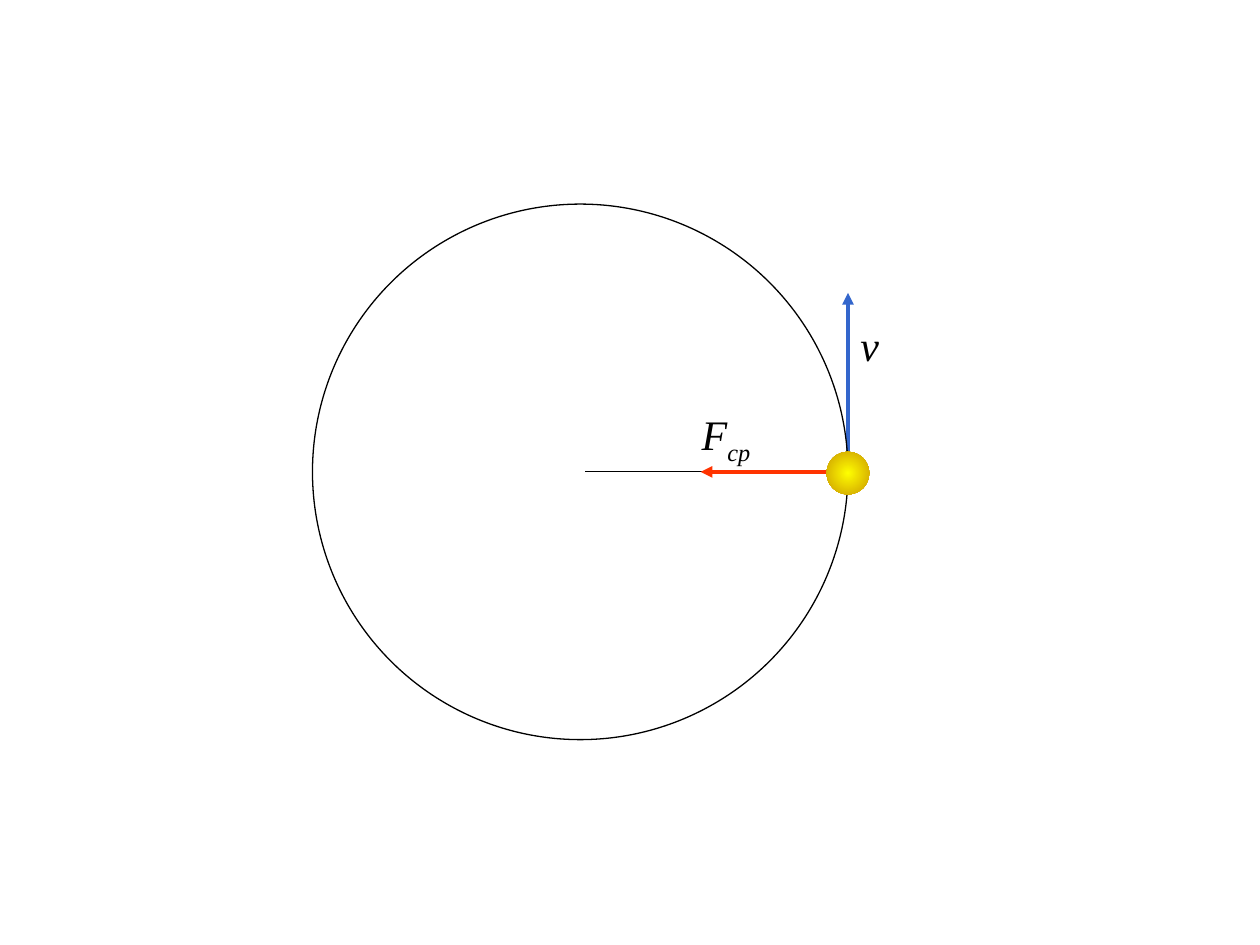
from lxml.etree import SubElement
from pptx import Presentation
from pptx.dml.color import RGBColor
from pptx.enum.shapes import MSO_CONNECTOR, MSO_SHAPE
from pptx.enum.text import MSO_AUTO_SIZE
from pptx.oxml.ns import qn
from pptx.util import Inches, Pt

COLORS = {
    "ink": "000000",
    "force": "FF3300",
    "velocity": "3366CC",
    "ball_center": "FFFF00",
    "ball_edge": "CC9900",
}
FONT = "Times New Roman"


def rgb(name):
    """Return the named colour."""
    return RGBColor.from_string(COLORS[name])


def add_circle(slide, cx, cy, diameter):
    """Add an unfilled circle around a centre point."""
    sp = slide.shapes.add_shape(
        MSO_SHAPE.OVAL, Inches(cx - diameter / 2), Inches(cy - diameter / 2),
        Inches(diameter), Inches(diameter))
    sp.shadow.inherit = False
    sp.fill.background()
    return sp


def add_line(slide, start, end, color, width, arrow=False):
    """Add a straight line, with an arrowhead at its end if asked."""
    line = slide.shapes.add_connector(
        MSO_CONNECTOR.STRAIGHT, *(Inches(v) for v in (*start, *end)))
    line.line.color.rgb = rgb(color)
    line.line.width = Pt(width)
    if arrow:
        SubElement(line.line._get_or_add_ln(), qn("a:tailEnd"), type="triangle")
    SubElement(line._element.spPr, qn("a:effectLst"))


def add_symbol(slide, left, top, width, symbol, subscript=""):
    """Add an italic symbol with an optional subscript."""
    box = slide.shapes.add_textbox(
        Inches(left), Inches(top), Inches(width), Inches(0.5))
    tf = box.text_frame
    tf.word_wrap = False
    tf.auto_size = MSO_AUTO_SIZE.SHAPE_TO_FIT_TEXT
    p = tf.paragraphs[0]
    p.font.name = FONT
    p.font.size = Pt(24)
    p.font.italic = True
    p.font.color.rgb = rgb("ink")
    p.add_run().text = symbol
    if subscript:
        r = p.add_run()
        r.text = subscript
        r._r.get_or_add_rPr().set("baseline", "-25000")


def add_ball(slide, cx, cy, diameter):
    """Add a ball shaded from its centre to its edge."""
    ball = add_circle(slide, cx, cy, diameter)
    ball.line.fill.background()
    ball.fill.gradient()
    for stop, name in zip(ball.fill.gradient_stops, ("ball_center", "ball_edge")):
        stop.color.rgb = rgb(name)
    grad = ball._element.spPr.find(qn("a:gradFill"))
    grad.remove(grad.find(qn("a:lin")))
    shade = SubElement(grad, qn("a:path"), path="circle")
    SubElement(shade, qn("a:fillToRect"), dict.fromkeys("ltrb", "50000"))


def add_circular_motion(slide, left, top, diameter):
    """Draw the orbit with its radius, vectors, labels and ball."""
    cx, cy = left + diameter / 2, top + diameter / 2
    right = left + diameter
    add_line(slide, (right, cy), (cx + 0.04, cy), "ink", 0.75)
    add_line(slide, (right, cy), (right - 1.17, cy), "force", 2.25, arrow=True)
    add_line(slide, (right, cy), (right, cy - 1.42), "velocity", 2.25, arrow=True)
    add_symbol(slide, right - 1.26, cy - 0.55, 0.61, "F", "cp")
    add_symbol(slide, right, cy - 1.26, 0.35, "v")
    orbit = add_circle(slide, cx, cy, diameter)
    orbit.line.color.rgb = rgb("ink")
    orbit.line.width = Pt(0.75)
    add_ball(slide, right, cy + 0.01, 0.34)


def main():
    """Build and save the slide."""
    prs = Presentation()
    prs.slide_width, prs.slide_height = Inches(10), Inches(7.5)
    slide = prs.slides.add_slide(prs.slide_layouts[6])
    add_circular_motion(slide, 2.48, 1.62, 4.25)
    prs.save("out.pptx")


if __name__ == "__main__":
    main()
